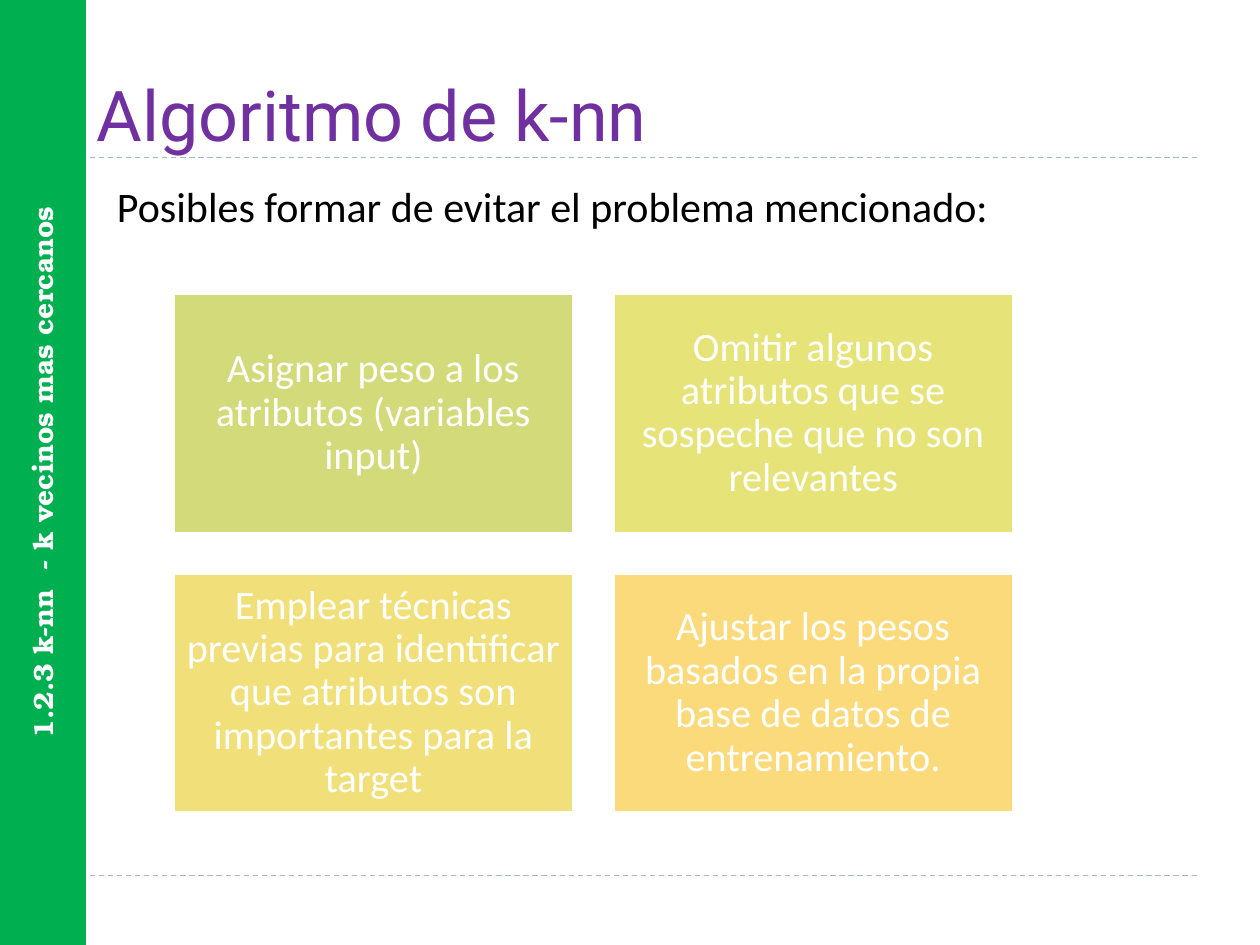
from lxml.etree import SubElement
from pptx import Presentation
from pptx.dml.color import RGBColor
from pptx.enum.dml import MSO_LINE
from pptx.enum.shapes import MSO_CONNECTOR, MSO_SHAPE
from pptx.enum.text import MSO_ANCHOR, PP_ALIGN
from pptx.oxml.ns import qn
from pptx.util import Inches, Pt

COLORS = {
    "rule": "9FB8CD",
    "title": "7030A0",
    "bar": "00B050",
    "text": "000000",
    "white": "FFFFFF",
}
CARDS = [
    ("Asignar peso a los atributos (variables input)", "D2DA7A"),
    ("Omitir algunos atributos que se sospeche que no son relevantes", "E6E379"),
    ("Emplear técnicas previas para identificar que atributos son "
     "importantes para la target", "F1E079"),
    ("Ajustar los pesos basados en la propia base de datos de entrenamiento.", "FADA7A"),
]
CARD_W, CARD_H, GAP = 3.17, 1.9, 0.32
GRID_LEFT, GRID_TOP = 1.38, 2.33


def rgb(value):
    """Turn a hex string into a colour."""
    return RGBColor.from_string(value)


def add_rule(slide, y):
    """Draw a dashed horizontal rule at height y."""
    s = slide.shapes.add_connector(
        MSO_CONNECTOR.STRAIGHT, Inches(0.5), Inches(y), Inches(9.5), Inches(y))
    s.line.color.rgb = rgb(COLORS["rule"])
    s.line.width = Pt(0.75)
    s.line.dash_style = MSO_LINE.DASH
    SubElement(s.element.spPr, qn("a:effectLst"))


def add_text(s, text, font, size, color, align=PP_ALIGN.LEFT,
             anchor=MSO_ANCHOR.MIDDLE, bold=False):
    """Write one paragraph into a shape and return the paragraph."""
    tf = s.text_frame
    tf.word_wrap = True
    tf.vertical_anchor = anchor
    p = tf.paragraphs[0]
    p.alignment = align
    r = p.add_run()
    r.text = text
    r.font.name = font
    r.font.size = Pt(size)
    r.font.bold = bold
    r.font.color.rgb = rgb(color)
    return p


def add_box(slide, left, top, width, height, fill, line=None):
    """Add a filled rectangle, with an outline if a line colour is given."""
    s = slide.shapes.add_shape(
        MSO_SHAPE.RECTANGLE, Inches(left), Inches(top), Inches(width), Inches(height))
    s.shadow.inherit = False
    s.fill.solid()
    s.fill.fore_color.rgb = rgb(fill)
    if line:
        s.line.color.rgb = rgb(line)
        s.line.width = Pt(1.5)
    else:
        s.line.fill.background()
    return s


def add_title(slide, text):
    """Add the slide title, resting on the upper rule."""
    s = slide.shapes.add_textbox(Inches(0.67), Inches(0.2), Inches(9), Inches(1.08))
    add_text(s, text, "Roboto", 40, COLORS["title"], anchor=MSO_ANCHOR.BOTTOM)


def add_intro(slide, text):
    """Add the sentence that introduces the cards."""
    s = add_box(slide, 0.83, 1.38, 8.43, 1.11, COLORS["white"])
    p = add_text(s, text, "Calibri", 24, COLORS["text"], PP_ALIGN.JUSTIFY, MSO_ANCHOR.TOP)
    p.space_before = Pt(6)


def add_side_bar(slide, text):
    """Add the section bar with its text turned upwards."""
    s = add_box(slide, 0, 0, 0.67, 7.5, COLORS["bar"], COLORS["bar"])
    add_text(s, text, "TeX Gyre Bonum", 16, COLORS["white"], PP_ALIGN.CENTER, bold=True)
    s.element.txBody.bodyPr.set("vert", "vert270")


def add_card(slide, index, text, fill):
    """Add one card at its place in the two-column grid."""
    row, col = divmod(index, 2)
    s = add_box(slide, GRID_LEFT + col * (CARD_W + GAP), GRID_TOP + row * (CARD_H + GAP),
                CARD_W, CARD_H, fill, COLORS["white"])
    tf = s.text_frame
    tf.margin_left = tf.margin_right = tf.margin_top = tf.margin_bottom = Inches(0.1)
    p = add_text(s, text, "Calibri", 23, COLORS["white"], PP_ALIGN.CENTER)
    p.line_spacing = 0.9


def main():
    """Build and save the slide."""
    prs = Presentation()
    prs.slide_width, prs.slide_height = Inches(10), Inches(7.5)
    slide = prs.slides.add_slide(prs.slide_layouts[6])
    for y in (6.95, 1.25):
        add_rule(slide, y)
    add_title(slide, "Algoritmo de k-nn")
    add_intro(slide, "Posibles formar de evitar el problema mencionado:")
    add_side_bar(slide, "1.2.3 k-nn  - k vecinos mas cercanos")
    for index, (text, fill) in enumerate(CARDS):
        add_card(slide, index, text, fill)
    prs.save("out.pptx")


if __name__ == "__main__":
    main()
